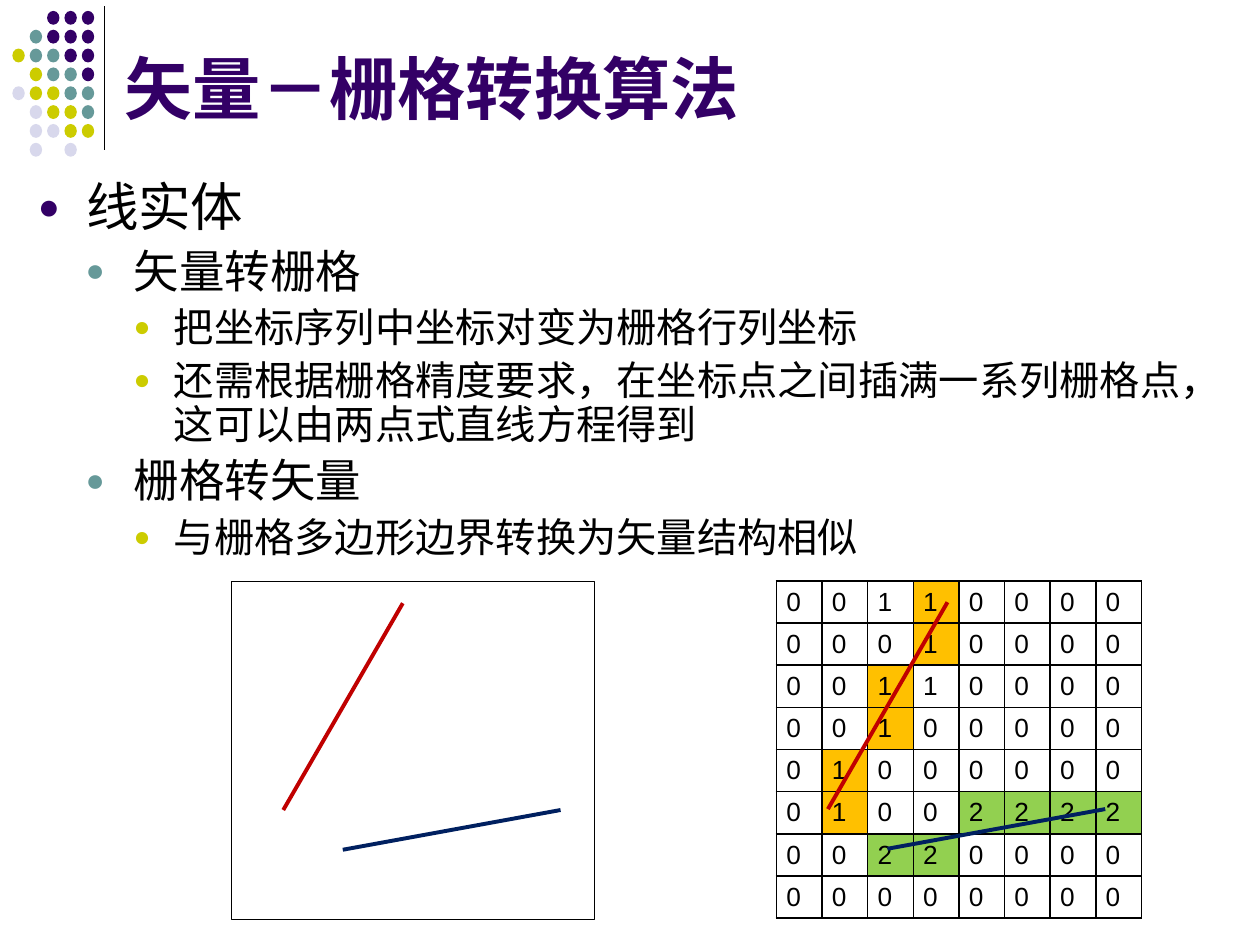
from lxml.etree import SubElement
from pptx import Presentation
from pptx.dml.color import RGBColor
from pptx.enum.shapes import MSO_CONNECTOR, MSO_SHAPE
from pptx.enum.text import MSO_ANCHOR, MSO_AUTO_SIZE, PP_ALIGN
from pptx.oxml.ns import qn
from pptx.util import Cm, Pt

FONT = "Arial"
BLACK = RGBColor(0x00, 0x00, 0x00)
WHITE = RGBColor(0xFF, 0xFF, 0xFF)
PURPLE = RGBColor(0x33, 0x00, 0x66)
TEAL = RGBColor(0x66, 0x99, 0x99)
YELLOW = RGBColor(0xCC, 0xCC, 0x00)
LILAC = RGBColor(0xD8, 0xD8, 0xEC)
ORANGE = RGBColor(0xFF, 0xC0, 0x00)
GREEN = RGBColor(0x92, 0xD0, 0x50)
RED = RGBColor(0xC0, 0x00, 0x00)
NAVY = RGBColor(0x00, 0x20, 0x60)

DOT_COLORS = {"P": PURPLE, "T": TEAL, "Y": YELLOW, "L": LILAC}
DOT_ROWS = ["..PPP", ".TPPP", "YTTPP", ".YTTP", "LYYTT", ".LYYT", ".LLYY", ".L.L."]

# Each level: size, left indent, hanging indent, bullet colour.
LEVELS = [
    (30, 0.97, 0.97, PURPLE),
    (26, 1.93, 0.97, TEAL),
    (23, 2.74, 0.81, YELLOW),
]
OUTLINE = [
    (0, "线实体"),
    (1, "矢量转栅格"),
    (2, "把坐标序列中坐标对变为栅格行列坐标"),
    (2, "还需根据栅格精度要求，在坐标点之间插满一系列栅格点，这可以由两点式直线方程得到"),
    (1, "栅格转矢量"),
    (2, "与栅格多边形边界转换为矢量结构相似"),
]

RASTER = [
    "00110000",
    "00010000",
    "00110000",
    "00100000",
    "01000000",
    "01002222",
    "00220000",
    "00000000",
]
VALUE_FILLS = {"0": WHITE, "1": ORANGE, "2": GREEN}
UNFILLED_ONES = {(0, 2), (2, 3)}


def add_span(para, text, size, color, bold=False):
    """Append one formatted run to a paragraph."""
    span = para.add_run()
    span.text = text
    span.font.name = FONT
    span.font.size = Pt(size)
    span.font.bold = bold
    span.font.color.rgb = color


def add_line(shapes, start, end, color, width):
    """Draw a straight line between two points in centimetres."""
    line = shapes.add_connector(
        MSO_CONNECTOR.STRAIGHT, *(Cm(value) for value in start + end)
    )
    line.line.color.rgb = color
    line.line.width = Pt(width)
    SubElement(line._element.spPr, qn("a:effectLst"))


def add_dots(page):
    """Draw the corner ornament of coloured dots and its rule."""
    add_line(page.shapes, (2.11, 0.13), (2.11, 3.02), BLACK, 0.75)
    group = page.shapes.add_group_shape()
    for row, codes in enumerate(DOT_ROWS):
        for column, code in enumerate(codes):
            if code in DOT_COLORS:
                dot = group.shapes.add_shape(
                    MSO_SHAPE.OVAL,
                    Cm(0.25 + 0.35 * column), Cm(0.22 + 0.38 * row),
                    Cm(0.25), Cm(0.28),
                )
                dot.shadow.inherit = False
                dot.fill.solid()
                dot.fill.fore_color.rgb = DOT_COLORS[code]
                dot.line.fill.background()


def place(box, left, top, width, height):
    """Move a placeholder and switch off text fitting."""
    box.left, box.top = Cm(left), Cm(top)
    box.width, box.height = Cm(width), Cm(height)
    box.text_frame.word_wrap = True
    box.text_frame.auto_size = MSO_AUTO_SIZE.NONE


def fill_title(box):
    """Write the slide title."""
    place(box, 2.26, 0.33, 21.44, 2.39)
    box.text_frame.vertical_anchor = MSO_ANCHOR.BOTTOM
    para = box.text_frame.paragraphs[0]
    para.alignment = PP_ALIGN.LEFT
    add_span(para, "矢量－栅格转换算法", 39, PURPLE, bold=True)


def set_bullet(para, left, hanging, color):
    """Give a paragraph a coloured round bullet and a hanging indent."""
    properties = para._p.get_or_add_pPr()
    properties.set("marL", str(Cm(left)))
    properties.set("indent", str(-Cm(hanging)))
    bullet_color = SubElement(properties, qn("a:buClr"))
    SubElement(bullet_color, qn("a:srgbClr"), val=str(color))
    SubElement(properties, qn("a:buSzPct"), val="70000")
    SubElement(properties, qn("a:buFont"), typeface=FONT)
    SubElement(properties, qn("a:buChar"), char="●")


def fill_body(box):
    """Write the three-level outline."""
    place(box, 0.51, 3.53, 24.41, 15.01)
    frame = box.text_frame
    for index, (level, text) in enumerate(OUTLINE):
        size, left, hanging, color = LEVELS[level]
        para = frame.add_paragraph() if index else frame.paragraphs[0]
        para.level = level
        para.line_spacing = 0.9
        para.space_before = Pt(round(size * 0.24, 1))
        set_bullet(para, left, hanging, color)
        add_span(para, text, size, BLACK)


def set_borders(cell):
    """Draw a thin black line on all sides of a cell."""
    properties = cell._tc.get_or_add_tcPr()
    for index, side in enumerate(("a:lnL", "a:lnR", "a:lnT", "a:lnB")):
        border = properties.makeelement(qn(side), {"w": str(Pt(1))})
        fill = SubElement(border, qn("a:solidFill"))
        SubElement(fill, qn("a:srgbClr"), val=str(BLACK))
        properties.insert(index, border)


def add_raster(page):
    """Build the raster grid with its highlighted cells."""
    size = len(RASTER)
    table = page.shapes.add_table(
        size, size, Cm(15.65), Cm(11.71), Cm(0.92 * size), Cm(0.85 * size)
    ).table
    table.first_row = table.horz_banding = False
    for row, values in enumerate(RASTER):
        for column, value in enumerate(values):
            cell = table.cell(row, column)
            cell.vertical_anchor = MSO_ANCHOR.MIDDLE
            cell.margin_left = cell.margin_right = Cm(0.2)
            cell.margin_top = cell.margin_bottom = Cm(0.1)
            cell.fill.solid()
            plain = (row, column) in UNFILLED_ONES
            cell.fill.fore_color.rgb = WHITE if plain else VALUE_FILLS[value]
            set_borders(cell)
            add_span(cell.text_frame.paragraphs[0], value, 15, BLACK)


def add_vectors(shapes, left, top):
    """Draw the two line entities relative to a frame's corner."""
    for start, end, color in (
        ((1.04, 4.6), (3.45, 0.43), RED),
        ((2.24, 5.4), (6.63, 4.6), NAVY),
    ):
        add_line(
            shapes,
            (left + start[0], top + start[1]),
            (left + end[0], top + end[1]),
            color, 2.25,
        )


def add_vector_frame(page):
    """Draw the empty frame that holds the vector lines."""
    group = page.shapes.add_group_shape()
    frame = group.shapes.add_shape(
        MSO_SHAPE.RECTANGLE, Cm(4.67), Cm(11.73), Cm(7.32), Cm(6.81)
    )
    frame.shadow.inherit = False
    frame.fill.background()
    frame.line.color.rgb = BLACK
    frame.line.width = Pt(0.75)
    add_vectors(group.shapes, 4.67, 11.73)


def main():
    """Build and save the slide."""
    deck = Presentation()
    deck.slide_width, deck.slide_height = Cm(25.4), Cm(19.05)
    page = deck.slides.add_slide(deck.slide_layouts[1])
    add_dots(page)
    fill_title(page.shapes.title)
    fill_body(page.placeholders[1])
    add_raster(page)
    add_vectors(page.shapes, 15.65, 11.71)
    add_vector_frame(page)
    deck.save("out.pptx")


if __name__ == "__main__":
    main()
